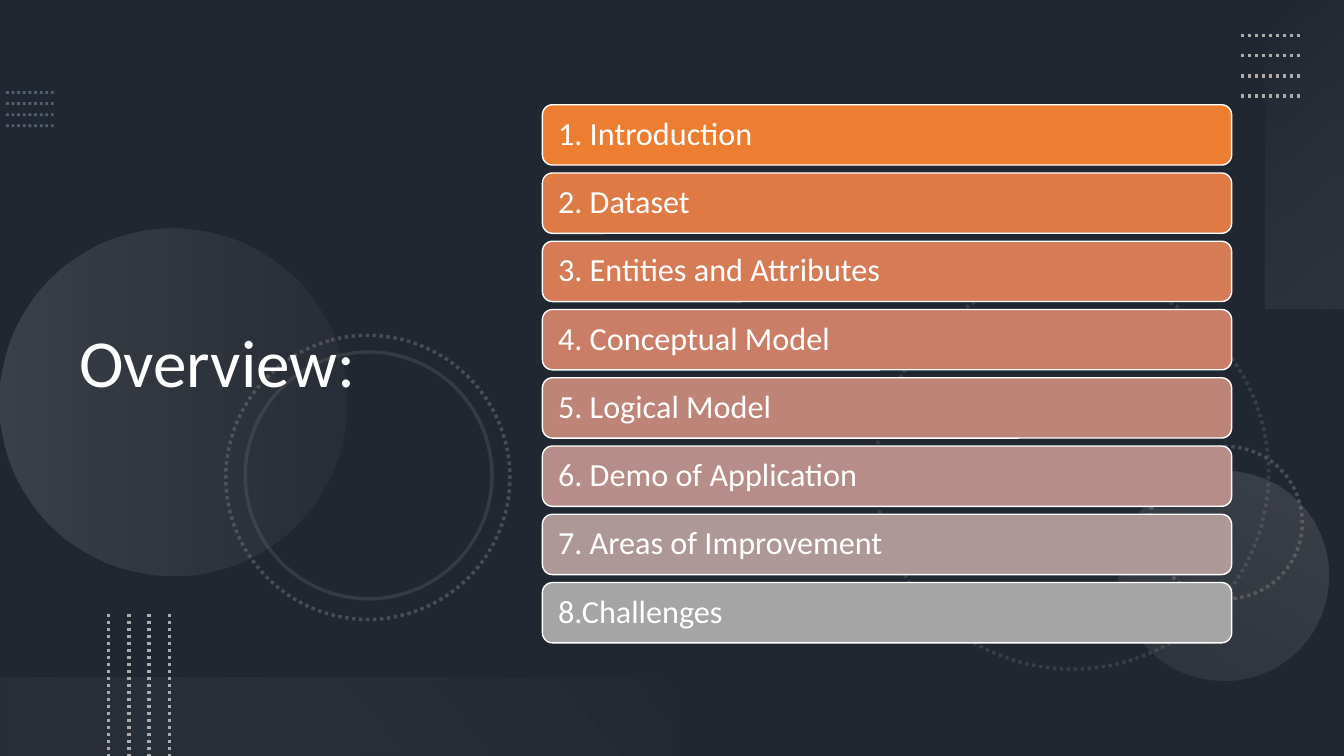
"""Build a dark overview slide with eight graded agenda bars."""
import lxml.etree
import pptx
import pptx.dml.color
import pptx.enum.dml
import pptx.enum.shapes
import pptx.enum.text
import pptx.oxml.ns
import pptx.util

Cm = pptx.util.Cm
Shapes = pptx.enum.shapes.MSO_SHAPE
FONT = "Calibri"
COLOURS = {
    "background": "44546A",
    "shade": "000000",
    "text": "FFFFFF",
    "blue": "8497B0",
    "grey": "767171",
    "silver": "AFABAB",
    "pale": "F5F5F5",
}
AGENDA = {
    "1. Introduction": "ED7D31",
    "2. Dataset": "E07A44",
    "3. Entities and Attributes": "D57B56",
    "4. Conceptual Model": "CA7E67",
    "5. Logical Model": "BF8478",
    "6. Demo of Application": "B68D88",
    "7. Areas of Improvement": "AD9897",
    "8.Challenges": "A5A5A5",
}


def rgb(value):
    """Return a colour from its hex string."""
    return pptx.dml.color.RGBColor.from_string(value)


def set_opacity(shape, *percents):
    """Give the explicit colours of a shape their opacities, in order."""
    qn = pptx.oxml.ns.qn
    colours = list(shape.element.spPr.iter(qn("a:srgbClr")))
    for colour, percent in zip(colours, percents):
        lxml.etree.SubElement(colour, qn("a:alpha"), val=str(percent * 1000))


def set_line(line, colour, width, dotted=False):
    """Format an outline or a connector line."""
    line.color.rgb = rgb(colour)
    line.width = pptx.util.Pt(width)
    if dotted:
        line.dash_style = pptx.enum.dml.MSO_LINE.ROUND_DOT


def add_shape(page, kind, left, top, width, height, fill=None, rotation=0):
    """Add a plain shape without shadow or outline."""
    shape = page.shapes.add_shape(kind, Cm(left), Cm(top), Cm(width), Cm(height))
    shape.shadow.inherit = False
    shape.rotation = rotation
    shape.line.fill.background()
    if fill:
        shape.fill.solid()
        shape.fill.fore_color.rgb = rgb(fill)
    else:
        shape.fill.background()
    return shape


def add_glow(page, kind, bounds, stops, angle, rotation):
    """Add a shape with a translucent gradient of (position, colour, opacity)."""
    shape = add_shape(page, kind, *bounds, rotation=rotation)
    shape.fill.gradient()
    shape.fill.gradient_angle = 360 - angle
    for stop, (position, colour, _) in zip(shape.fill.gradient_stops, stops):
        stop.position = position
        stop.color.rgb = rgb(COLOURS[colour])
    set_opacity(shape, *(opacity for _, _, opacity in stops))


def add_ring(page, left, top, size, opacity, dotted=True, rotation=75):
    """Add an unfilled circle with a faint outline."""
    ring = add_shape(page, Shapes.OVAL, left, top, size, size, rotation=rotation)
    set_line(ring.line, COLOURS["grey"], 2.5, dotted)
    set_opacity(ring, opacity)


def add_dotted_lines(page, start, length, gap, colour, width=2.5, opacity=100, vertical=False):
    """Add four parallel dotted lines at equal gaps."""
    left, top = start
    for index in range(4):
        x = left + index * gap * vertical
        y = top + index * gap * (not vertical)
        line = page.shapes.add_connector(
            pptx.enum.shapes.MSO_CONNECTOR.STRAIGHT, Cm(x), Cm(y),
            Cm(x + length * (not vertical)), Cm(y + length * vertical))
        set_line(line.line, COLOURS[colour], width, dotted=True)
        set_opacity(line, opacity)
        lxml.etree.SubElement(line.element.spPr, pptx.oxml.ns.qn("a:effectLst"))


def set_text(shape, text, size, inset=0.25):
    """Write one left-aligned, vertically centred paragraph."""
    frame = shape.text_frame
    frame.word_wrap = True
    frame.auto_size = pptx.enum.text.MSO_AUTO_SIZE.NONE
    frame.vertical_anchor = pptx.enum.text.MSO_ANCHOR.MIDDLE
    frame.margin_left = frame.margin_right = Cm(inset)
    frame.margin_top = frame.margin_bottom = Cm(0.13)
    para = frame.paragraphs[0]
    para.alignment = pptx.enum.text.PP_ALIGN.LEFT
    para.line_spacing = 0.9
    span = para.add_run()
    span.text = text
    span.font.name = FONT
    span.font.size = pptx.util.Pt(size)
    span.font.color.rgb = rgb(COLOURS["text"])


def add_decoration(page):
    """Add the shaded backdrop with its circles, panels and dotted lines."""
    shade = add_shape(page, Shapes.RECTANGLE, 0, 0, 33.87, 19.05, COLOURS["shade"])
    set_opacity(shade, 53)
    add_dotted_lines(page, (0.15, 2.33), 1.2, 0.28, "blue", width=2, opacity=50)
    add_ring(page, 22.07, 6.96, 9.9, 30)
    add_ring(page, 28.98, 11.25, 3.84, 50, rotation=270)
    add_glow(page, Shapes.OVAL, (0, 5.76, 8.74, 8.74),
             [(0, "silver", 20), (1, "grey", 10)], 90, 270)
    add_glow(page, Shapes.OVAL, (28.19, 11.86, 5.28, 5.28),
             [(0, "silver", 10), (1, "silver", 20)], 90, 210)
    add_ring(page, 5.69, 8.45, 7.16, 50)
    add_ring(page, 6.18, 8.87, 6.22, 25, dotted=False)
    add_glow(page, Shapes.RECTANGLE, (29, 2.9, 7.77, 1.98),
             [(0, "pale", 0), (1, "silver", 10)], 140, 270)
    add_dotted_lines(page, (31.27, 0.89), 1.52, 0.51, "silver")
    add_glow(page, Shapes.RECTANGLE, (0, 17.07, 16.94, 1.98),
             [(0.1, "grey", 10), (1, "pale", 0)], 140, 180)
    add_dotted_lines(page, (2.74, 15.47), 3.58, 0.51, "silver", vertical=True)


def add_title(page, text):
    """Move the title placeholder to the left half, in front of the backdrop."""
    title = page.shapes.title
    title.left, title.top = Cm(1.75), Cm(1.37)
    title.width, title.height = Cm(11.66), Cm(15.67)
    set_text(title, text, 48)
    title.element.getparent().append(title.element)


def add_agenda(page):
    """Stack one rounded bar for each agenda entry."""
    for index, (entry, colour) in enumerate(AGENDA.items()):
        bar = add_shape(page, Shapes.ROUNDED_RECTANGLE,
                        13.67, 2.64 + index * 1.72, 17.37, 1.52, colour)
        set_line(bar.line, COLOURS["text"], 1)
        set_text(bar, entry, 23, inset=0.32)


def main():
    """Create and save the deck."""
    deck = pptx.Presentation()
    deck.slide_width, deck.slide_height = Cm(33.87), Cm(19.05)
    page = deck.slides.add_slide(deck.slide_layouts[5])
    page.background.fill.solid()
    page.background.fill.fore_color.rgb = rgb(COLOURS["background"])
    add_decoration(page)
    add_title(page, "Overview:")
    add_agenda(page)
    deck.save("out.pptx")


if __name__ == "__main__":
    main()
